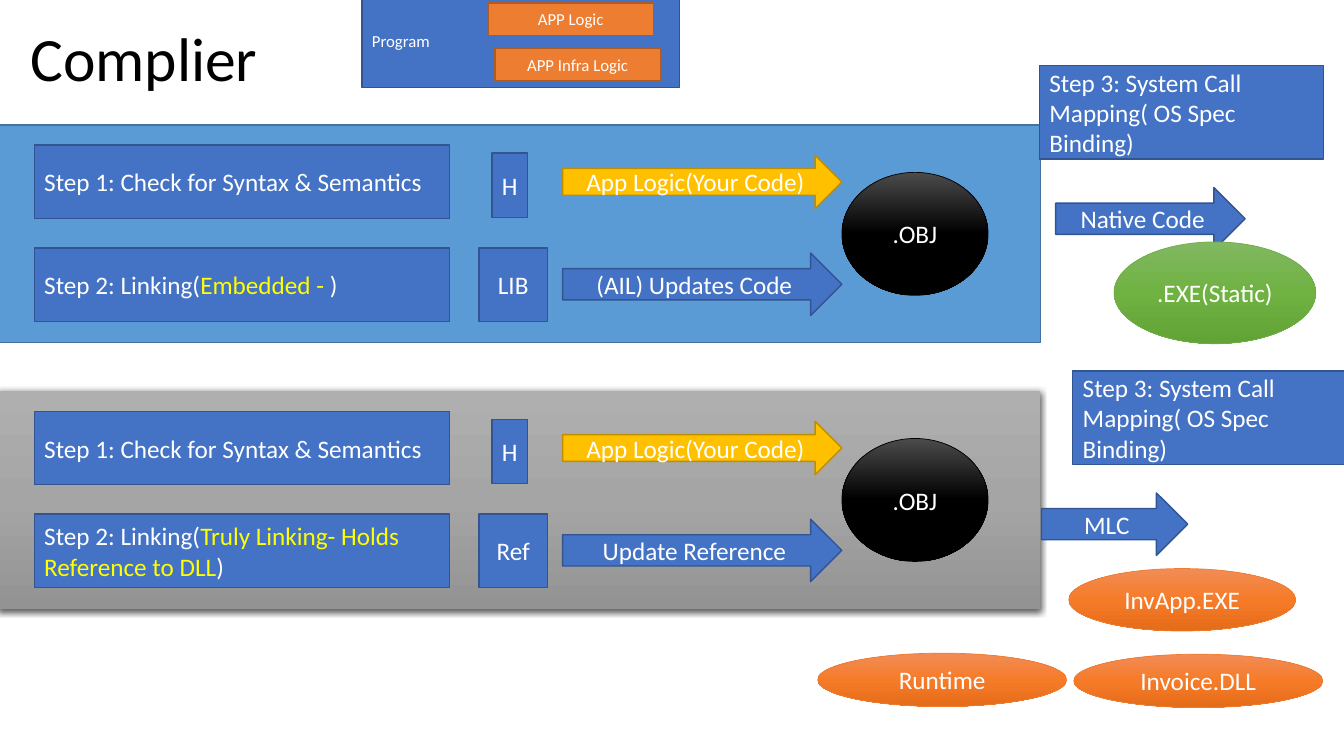
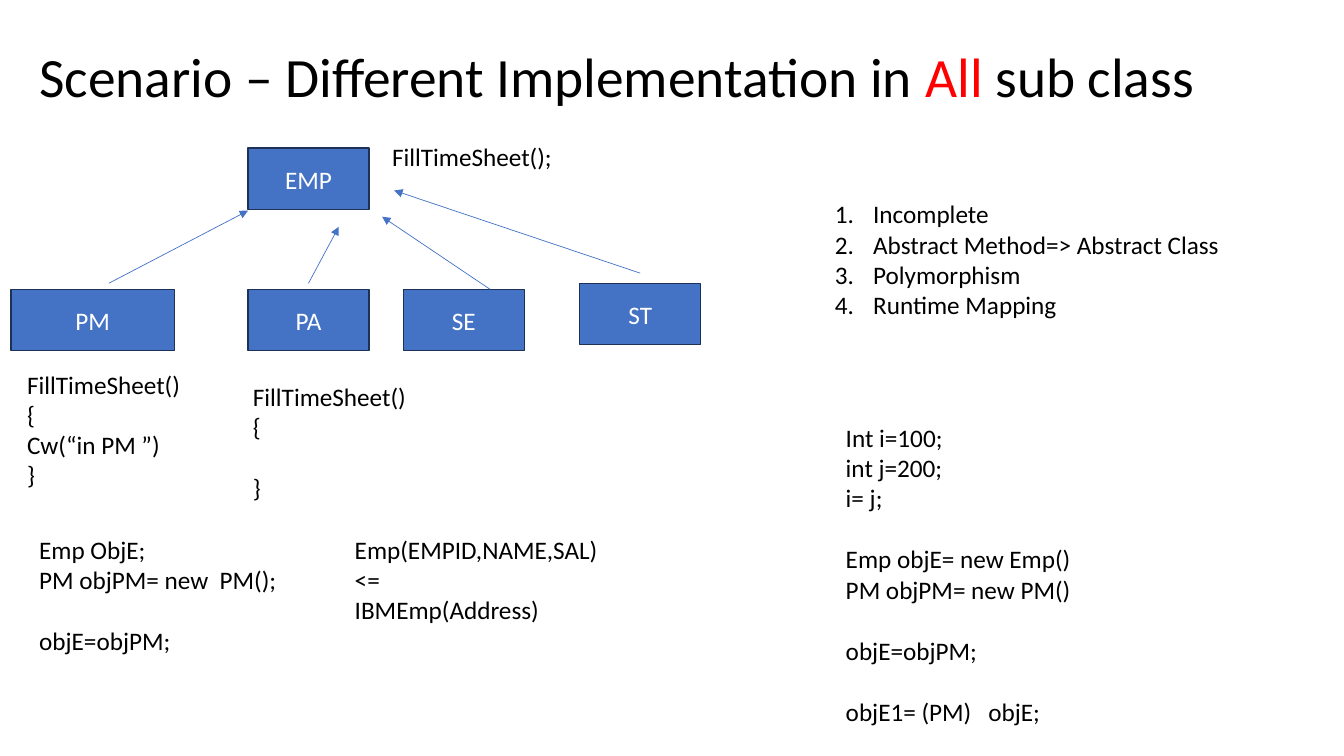
from copy import deepcopy

from lxml import etree
from pptx import Presentation
from pptx.dml.color import RGBColor
from pptx.enum.shapes import MSO_CONNECTOR, MSO_SHAPE
from pptx.enum.text import MSO_ANCHOR, MSO_AUTO_SIZE, PP_ALIGN
from pptx.oxml.ns import qn
from pptx.util import Inches, Pt

RECTANGLE = MSO_SHAPE.RECTANGLE
ARROW = MSO_SHAPE.RIGHT_ARROW
ELLIPSE = MSO_SHAPE.OVAL
STRAIGHT = MSO_CONNECTOR.STRAIGHT
MIDDLE = MSO_ANCHOR.MIDDLE
TOP = MSO_ANCHOR.TOP
NO_AUTOFIT = MSO_AUTO_SIZE.NONE
LEFT = PP_ALIGN.LEFT
CENTER = PP_ALIGN.CENTER

FONT = "Calibri"
TITLE_ONLY = 5
TITLE_AND_BODY = 1
BLANK_LINE = 22

COLORS = {
    "text": "000000", "light": "FFFFFF", "red": "FF0000", "yellow": "FFFF00",
    "blue": "4472C4", "blue edge": "325491", "navy edge": "1E3256",
    "sky": "5B9BD5", "sky edge": "43739E",
    "gold": "FFC000", "gold edge": "BD8E00",
    "orange": "ED7D31", "orange edge": "AF5C24", "green": "70AD47",
}
GRADIENTS = {
    "black": ("4B4B4B", "000000", "000000"),
    "green": ("81B861", "6FB242", "62A336"),
    "gray": ("AFAFAF", "A5A5A5", "939393"),
    "orange": ("F18C57", "F67B28", "E56C19"),
}


def rgb(name):
    return RGBColor.from_string(COLORS[name])


class Deck:
    def __init__(self):
        self.presentation = Presentation()
        self.presentation.slide_width = Inches(13.33)
        self.presentation.slide_height = Inches(7.5)
        self.slide = None

    def add_slide(self, layout, title, box, size):
        layouts = self.presentation.slide_layouts
        self.slide = self.presentation.slides.add_slide(layouts[layout])
        shape = self.slide.shapes.title
        self.place(shape, box)
        self.fill_text(shape.text_frame, [title], size, anchor=MIDDLE)
        shape.text_frame.paragraphs[0].line_spacing = 0.9

    def place(self, shape, box):
        shape.left, shape.top, shape.width, shape.height = map(Inches, box)

    def fill_text(self, frame, lines, size=18, color="text", align=LEFT, anchor=TOP):
        frame.word_wrap = True
        frame.auto_size = NO_AUTOFIT
        frame.vertical_anchor = anchor
        for index, line in enumerate(lines):
            paragraph = frame.add_paragraph() if index else frame.paragraphs[0]
            paragraph.alignment = align
            parts = [(line, color)] if isinstance(line, str) else line
            for text, part_color in parts:
                run = paragraph.add_run()
                run.text = text
                run.font.name = FONT
                run.font.size = Pt(size)
                run.font.color.rgb = rgb(part_color)

    def shape(self, kind, box, text="", fill="blue", edge="blue edge", align=CENTER, size=18):
        shape = self.slide.shapes.add_shape(kind, *map(Inches, box))
        shape.shadow.inherit = False
        shape.fill.solid()
        shape.fill.fore_color.rgb = rgb(fill)
        shape.line.color.rgb = rgb(edge)
        shape.line.width = Pt(1)
        if text:
            self.fill_text(shape.text_frame, [text], size, "light", align, MIDDLE)
        return shape

    def step(self, box, text, size=18):
        return self.shape(RECTANGLE, box, text, align=LEFT, size=size)

    def shade(self, shape, gradient):
        shape.fill.gradient()
        shape.fill.gradient_angle = 270
        first_stop = next(shape._element.spPr.iter(qn("a:gs")))
        first_stop.addnext(deepcopy(first_stop))
        stops = zip(shape.fill.gradient_stops, GRADIENTS[gradient], (0, 0.5, 1))
        for stop, color, position in stops:
            stop.color.rgb = RGBColor.from_string(color)
            stop.position = position

    def ellipse(self, box, text, gradient, edge):
        shape = self.shape(ELLIPSE, box, text, edge=edge)
        shape.line.width = Pt(0.5)
        self.shade(shape, gradient)

    def gray_band(self, box):
        shape = self.shape(RECTANGLE, box)
        shape.line.fill.background()
        self.shade(shape, "gray")
        effects = shape._element.spPr.find(qn("a:effectLst"))
        shadow = etree.SubElement(effects, qn("a:outerShdw"), blurRad=str(Pt(4.5)),
                                  dist=str(Pt(1.5)), dir="5400000", rotWithShape="0")
        color = etree.SubElement(shadow, qn("a:srgbClr"), val=COLORS["text"])
        etree.SubElement(color, qn("a:alpha"), val="63000")

    def code(self, box, *blocks):
        frame = self.slide.shapes.add_textbox(*map(Inches, box)).text_frame
        self.fill_text(frame, [line for block in blocks for line in block])
        start = 0
        for block in blocks[:-1]:
            start += len(block)
            frame.paragraphs[start].space_before = Pt(BLANK_LINE)

    def numbered_list(self, box, items):
        body = self.slide.placeholders[1]
        self.place(body, box)
        self.fill_text(body.text_frame, items)
        for paragraph in body.text_frame.paragraphs:
            properties = paragraph._p.get_or_add_pPr()
            properties.set("marL", str(Inches(0.38)))
            properties.set("indent", str(Inches(-0.38)))
            etree.SubElement(properties, qn("a:buFont"), typeface=FONT)
            etree.SubElement(properties, qn("a:buAutoNum"), type="arabicPeriod")
            paragraph.space_before = Pt(0)

    def arrow(self, start, end):
        points = map(Inches, (*start, *end))
        connector = self.slide.shapes.add_connector(STRAIGHT, *points)
        connector.line.color.rgb = rgb("blue")
        connector.line.width = Pt(0.5)
        line = connector._element.spPr.find(qn("a:ln"))
        etree.SubElement(line, qn("a:tailEnd"), type="triangle")
        etree.SubElement(connector._element.spPr, qn("a:effectLst"))


def add_build_steps(deck, top, linking, library, update):
    deck.step((0.34, top + 0.2, 4.12, 0.73), "Step 1: Check for Syntax & Semantics")
    deck.step((0.34, top + 1.22, 4.12, 0.73),
              [("Step 2: Linking(", "light"), (linking, "yellow"), (")", "light")])
    deck.shape(RECTANGLE, (4.88, top + 0.28, 0.35, 0.64), "H")
    deck.shape(RECTANGLE, (4.75, top + 1.22, 0.68, 0.73), library)
    deck.shape(ARROW, (5.58, top + 0.3, 2.77, 0.53), "App Logic(Your Code)",
               "gold", "gold edge")
    deck.shape(ARROW, (5.58, top + 1.27, 2.77, 0.62), update)
    deck.ellipse((8.35, top + 0.47, 1.45, 1.22), ".OBJ", "black", "text")


def add_compiler_slide(deck):
    deck.add_slide(TITLE_ONLY, "Complier", (0.2, 0.08, 11.5, 1.07), 44)
    deck.step((3.59, -0.06, 3.15, 0.93), "Program", 12)
    for left, top, text in ((4.84, 0.03, "APP Logic"), (4.91, 0.48, "APP Infra Logic")):
        deck.shape(RECTANGLE, (left, top, 1.64, 0.32), text, "orange", "orange edge", size=12)

    static_top, dynamic_top = 1.24, 3.88
    deck.shape(RECTANGLE, (-0.03, static_top, 10.35, 2.16), fill="sky", edge="sky edge")
    add_build_steps(deck, static_top, "Embedded - ", "LIB", "(AIL) Updates Code")
    deck.gray_band((-0.03, dynamic_top, 10.35, 2.16))
    add_build_steps(deck, dynamic_top, "Truly Linking- Holds Reference to DLL",
                    "Ref", "Update Reference")

    for left, top in ((10.31, 0.65), (10.64, 3.68)):
        deck.step((left, top, 2.82, 0.93), "Step 3: System Call Mapping( OS Spec Binding)")
    deck.shape(ARROW, (10.47, 1.86, 1.88, 0.62), "Native Code")
    deck.shape(ARROW, (10.33, 4.89, 1.45, 0.62), "MLC")
    deck.ellipse((11.05, 2.4, 2, 1.01), ".EXE(Static)", "green", "green")
    for box, text in (
        ((10.6, 5.64, 2.25, 0.62), "InvApp.EXE"),
        ((10.65, 6.49, 2.47, 0.53), "Invoice.DLL"),
        ((8.11, 6.48, 2.47, 0.53), "Runtime"),
    ):
        deck.ellipse(box, text, "orange", "orange")


def add_scenario_slide(deck):
    title = [("Scenario – Different Implementation in ", "text"), ("All", "red"),
             (" sub class", "text")]
    deck.add_slide(TITLE_AND_BODY, title, (0.29, 0.4, 12.13, 0.78), 39.6)
    deck.numbered_list((8.18, 1.92, 4.24, 1.5), [
        "Incomplete", "Abstract Method=> Abstract Class", "Polymorphism", "Runtime Mapping"])

    for left, top, width, text in (
        (2.46, 1.47, 1.2, "EMP"),
        (0.11, 2.87, 1.62, "PM"),
        (2.46, 2.87, 1.2, "PA"),
        (4, 2.87, 1.2, "SE"),
        (5.75, 2.81, 1.2, "ST"),
    ):
        deck.shape(RECTANGLE, (left, top, width, 0.61), text, edge="navy edge")
    for start, end in (
        ((1.08, 2.81), (2.46, 2.09)),
        ((3.06, 2.81), (3.36, 2.25)),
        ((4.86, 2.87), (3.79, 2.15)),
        ((6.35, 2.71), (3.91, 1.89)),
    ):
        deck.arrow(start, end)

    deck.code((3.79, 1.35, 2.44, 0.4), ["FillTimeSheet();"])
    deck.code((0.17, 3.61, 2.2, 1.31), ["FillTimeSheet()", "{", "Cw(“in PM ”)", "}"])
    deck.code((2.41, 3.73, 2.55, 1.31), ["FillTimeSheet()", "{"], ["}"])
    deck.code((0.29, 5.25, 3.1, 1.31), ["Emp ObjE;", "PM objPM= new  PM();"], ["objE=objPM;"])
    deck.code((3.42, 5.25, 3.54, 1.01), ["Emp(EMPID,NAME,SAL)", "<=", "IBMEmp(Address)"])
    deck.code((8.29, 4.14, 3.54, 3.3),
              ["Int i=100;", "int j=200;", "i= j;"],
              ["Emp objE= new Emp()", "PM objPM= new PM()"],
              ["objE=objPM;"],
              ["objE1= (PM)   objE;"])


def main():
    deck = Deck()
    add_compiler_slide(deck)
    add_scenario_slide(deck)
    deck.presentation.save("out.pptx")


if __name__ == "__main__":
    main()
